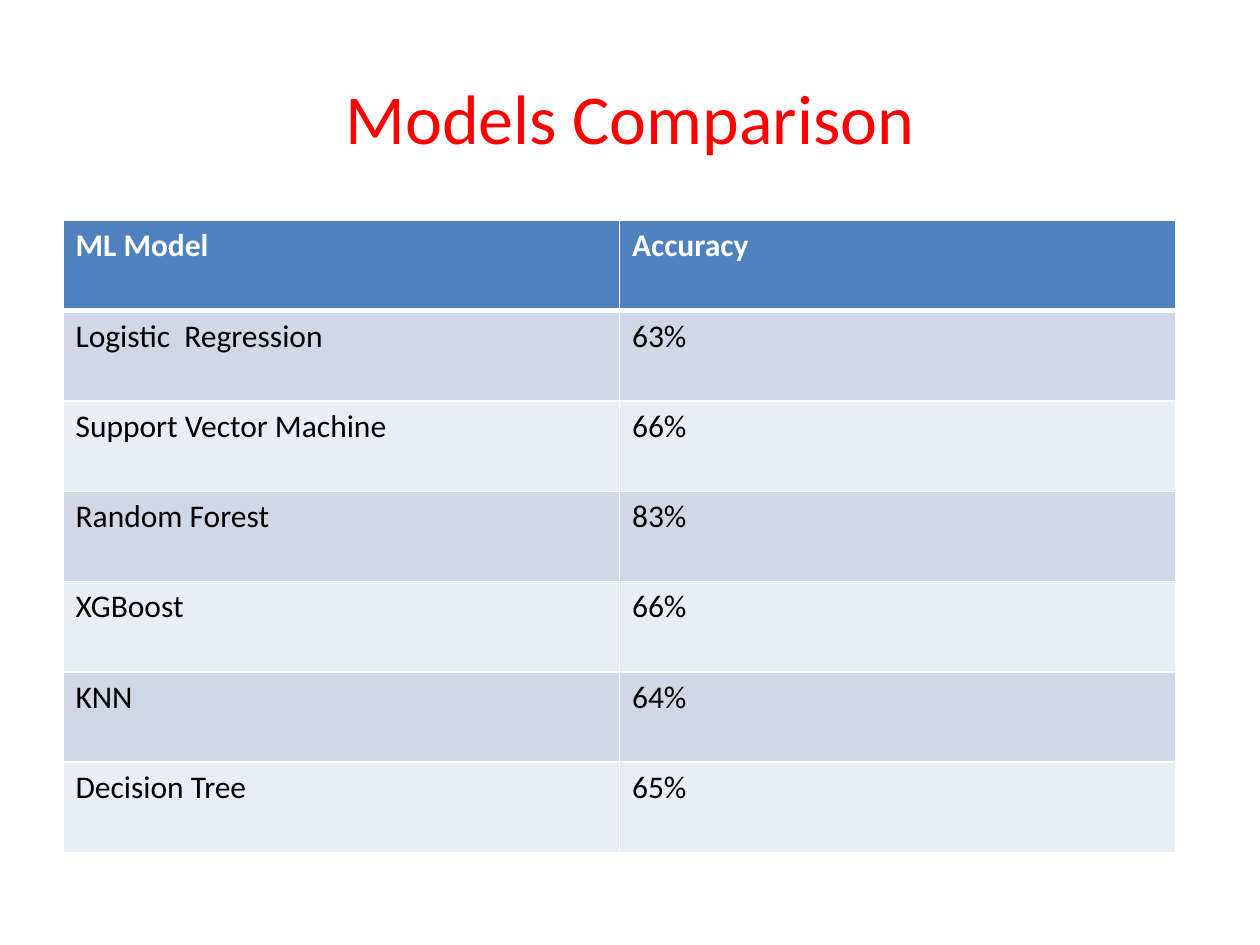
"""Build a slide that compares the accuracy of machine learning models."""
from lxml import etree
from pptx import Presentation, util as u
from pptx.dml.color import RGBColor
from pptx.enum import text
from pptx.oxml.ns import qn

PX = u.Inches(1) // 120
FONT = "Calibri"
COLORS = {"title": "FF0000", "header": "4F81BD", "odd": "D0D8E8",
          "even": "E9EDF4", "white": "FFFFFF", "black": "000000"}
ROWS = [
    ("ML Model", "Accuracy"),
    ("Logistic  Regression", "63%"),
    ("Support Vector Machine", "66%"),
    ("Random Forest", "83%"),
    ("XGBoost", "66%"),
    ("KNN", "64%"),
    ("Decision Tree", "65%"),
]


def rgb(name):
    return RGBColor.from_string(COLORS[name])


def style_run(r, size, color, bold=False):
    r.font.name = FONT
    r.font.size = u.Pt(size)
    r.font.bold = bold
    r.font.color.rgb = rgb(color)


def add_title(s, words, x, y, w, h):
    tf = s.shapes.add_textbox(x * PX, y * PX, w * PX, h * PX).text_frame
    tf.word_wrap = True
    tf.vertical_anchor = text.MSO_ANCHOR.MIDDLE
    tf.text = words
    p = tf.paragraphs[0]
    p.alignment = text.PP_ALIGN.CENTER
    style_run(p.runs[0], 40, "title")


def set_borders(cell, **widths):
    tc_pr = cell._tc.get_or_add_tcPr()
    for side, width in widths.items():
        ln = etree.SubElement(tc_pr, qn(f"a:ln{side}"), w=str(u.Pt(width)))
        fill = etree.SubElement(ln, qn("a:solidFill"))
        etree.SubElement(fill, qn("a:srgbClr"), val=COLORS["white"])


def style_cell(cell, row):
    header = row == 0
    set_borders(cell, L=1, R=1, T=3 if row == 1 else 1, B=3 if header else 1)
    cell.fill.solid()
    cell.fill.fore_color.rgb = rgb("header" if header else "odd" if row % 2 else "even")
    r = cell.text_frame.paragraphs[0].runs[0]
    style_run(r, 18, "white" if header else "black", header)


def add_model_table(s, rows, x, y, col_w, row_h):
    n_rows, n_cols = len(rows), len(rows[0])
    table = s.shapes.add_table(n_rows, n_cols, x * PX, y * PX,
                               n_cols * col_w * PX, n_rows * row_h * PX).table
    for col in table.columns:
        col.width = col_w * PX
    for i, values in enumerate(rows):
        table.rows[i].height = row_h * PX
        for j, value in enumerate(values):
            cell = table.cell(i, j)
            cell.text_frame.text = value
            style_cell(cell, i)


def main():
    prs = Presentation()
    prs.slide_width, prs.slide_height = 1200 * PX, 900 * PX
    s = prs.slides.add_slide(prs.slide_layouts[6])
    add_title(s, "Models Comparison", 60, 36, 1080, 150)
    add_model_table(s, ROWS, 60, 210, 530, 86)
    prs.save("out.pptx")


if __name__ == "__main__":
    main()
